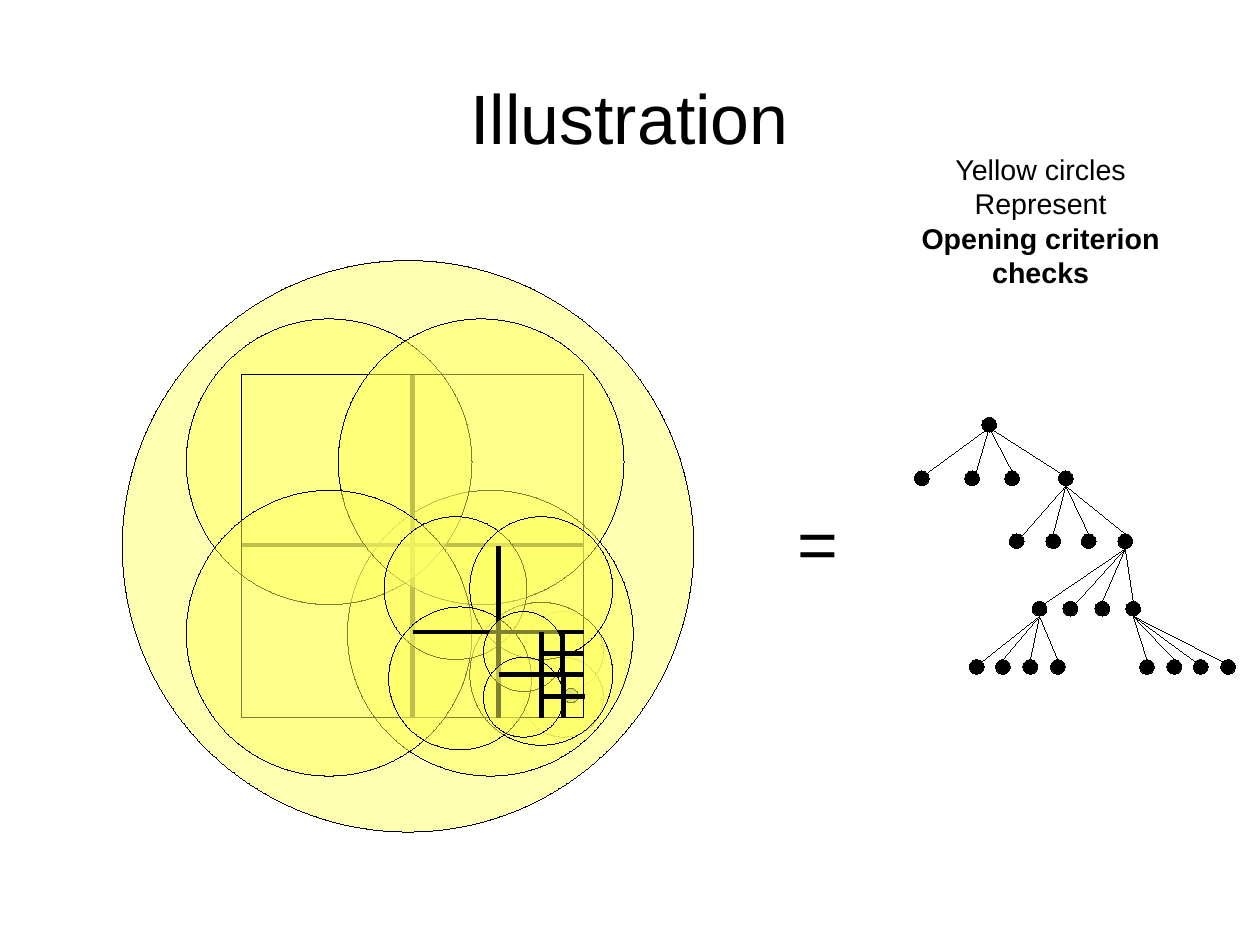
"""Build the slide showing a quadtree, its opening criterion circles and the matching tree."""
from lxml.etree import SubElement
from pptx import Presentation
from pptx.dml.color import RGBColor
from pptx.enum.shapes import MSO_CONNECTOR, MSO_SHAPE
from pptx.enum.text import MSO_ANCHOR, MSO_AUTO_SIZE, PP_ALIGN
from pptx.oxml.ns import qn
from pptx.util import Pt

BLACK = RGBColor(0x00, 0x00, 0x00)
YELLOW = RGBColor(0xFF, 0xFF, 0x66)
GREEN = RGBColor(0x7D, 0xA6, 0x47)
FONT = "Arial"
HAIRLINE, THICK = 0.01, 2.89
POINTS_PER_CM = 72 / 2.54
PAGE_WIDTH, PAGE_HEIGHT = 28 * POINTS_PER_CM, 21 * POINTS_PER_CM

TITLE = [("Illustration", False)]
NOTE = [("Yellow circles", False), ("Represent", False),
        ("Opening criterion", True), ("checks", True)]
EQUALS = [("=", False)]

QUADTREE = [
    ("check", 329.76, 385.2, 50.4),
    ("check", 329.76, 414, 50.4),
    ("check", 77.04, 164.16, 360),
    ("check", 218.88, 308.88, 180),
    ("particle", 354.96, 433.44, 9.36),
    ("cross", 259.92, 343.44, 108),
    ("check", 117.36, 200.88, 180),
    ("check", 295.92, 379.44, 90),
    ("cell", 151.92, 236.16, 216),
    ("check", 213.12, 200.88, 180),
    ("check", 117.36, 308.88, 180),
    ("check", 241.92, 325.44, 90),
    ("check", 295.92, 325.44, 90),
    ("check", 244.8, 382.32, 90),
    ("cross", 313.92, 398.16, 54),
    ("check", 304.56, 385.2, 50.4),
    ("check", 304.56, 414, 50.4),
    ("cross", 341.1, 425, 27),
    ("cross", 354.24, 411.6, 13.5),
    ("cross", 354.96, 438.6, 13.5),
]
STYLES = {
    "check": (MSO_SHAPE.OVAL, YELLOW, 50),
    "particle": (MSO_SHAPE.OVAL, GREEN, 50),
    "cell": (MSO_SHAPE.RECTANGLE, None, 100),
    "node": (MSO_SHAPE.OVAL, BLACK, 100),
}

NODE = 9.36
ROOT = (618.48, 262.8)
JOINTS = {"top": (0.5, 0), "bottom": (0.5, 1), "left": (0.15, 0.15), "right": (0.85, 0.15)}
FANS = [
    ((618.48, 259.92), 296.64,
     [(576, "right"), (607.68, "bottom"), (632.88, "top"), (666.72, "left")]),
    ((666.72, 296.64), 336.24,
     [(635.76, "right"), (658.8, "top"), (681.12, "top"), (704.16, "top")]),
    ((704.16, 336.24), 378.72,
     [(650.16, "right"), (669.6, "right"), (689.76, "top"), (709.2, "top")]),
    ((650.16, 378.72), 415.44,
     [(610.56, "right"), (627.12, "top"), (644.4, "top"), (661.68, "top")]),
    ((709.2, 378.72), 415.44,
     [(717.84, "top"), (735.12, "top"), (751.68, "left"), (768.96, "left")]),
]


def place(sp, left, top, width, height):
    sp.left, sp.top, sp.width, sp.height = Pt(left), Pt(top), Pt(width), Pt(height)


def add_figure(s, kind, left, top, size):
    preset, color, opacity = STYLES[kind]
    sp = s.shapes.add_shape(preset, Pt(left), Pt(top), Pt(size), Pt(size))
    sp.shadow.inherit = False
    sp.line.color.rgb = BLACK
    sp.line.width = Pt(HAIRLINE)
    if color is None:
        sp.fill.background()
        return
    sp.fill.solid()
    sp.fill.fore_color.rgb = color
    if opacity < 100:
        clr = sp.element.spPr.find(qn("a:solidFill")).find(qn("a:srgbClr"))
        SubElement(clr, qn("a:alpha"), val=str(opacity * 1000))


def add_line(s, x1, y1, x2, y2, width):
    c = s.shapes.add_connector(MSO_CONNECTOR.STRAIGHT, Pt(x1), Pt(y1), Pt(x2), Pt(y2))
    c.line.color.rgb = BLACK
    c.line.width = Pt(width)
    SubElement(c.element.spPr, qn("a:effectLst"))


def add_cross(s, x, y, arm):
    add_line(s, x, y - arm, x, y + arm, THICK)
    add_line(s, x - arm, y, x + arm, y, THICK)


def add_fan(s, parent, top, children):
    for left, _ in children:
        add_figure(s, "node", left, top, NODE)
    for left, joint in children:
        dx, dy = JOINTS[joint]
        add_line(s, parent[0] + NODE / 2, parent[1] + NODE,
                 left + dx * NODE, top + dy * NODE, HAIRLINE)


def write(tf, lines, size, align):
    for i, (text, bold) in enumerate(lines):
        p = tf.add_paragraph() if i else tf.paragraphs[0]
        p.alignment = align
        r = p.add_run()
        r.text = text
        r.font.name, r.font.size, r.font.bold = FONT, Pt(size), bold
        r.font.color.rgb = BLACK


def add_label(s, lines, size, align, left, top, width, height):
    sp = s.shapes.add_textbox(Pt(left), Pt(top), Pt(width), Pt(height))
    tf = sp.text_frame
    tf.word_wrap = False
    tf.auto_size = MSO_AUTO_SIZE.SHAPE_TO_FIT_TEXT
    write(tf, lines, size, align)


def main():
    prs = Presentation()
    prs.slide_width, prs.slide_height = Pt(PAGE_WIDTH), Pt(PAGE_HEIGHT)
    s = prs.slides.add_slide(prs.slide_layouts[5])

    title = s.shapes.title
    place(title, 39.6, 27.36, 714.24, 92.16)
    tf = title.text_frame
    tf.margin_left = tf.margin_right = tf.margin_top = tf.margin_bottom = 0
    tf.vertical_anchor = MSO_ANCHOR.MIDDLE
    write(tf, TITLE, 44, PP_ALIGN.CENTER)

    for kind, x, y, size in QUADTREE:
        if kind == "cross":
            add_cross(s, x, y, size)
        else:
            add_figure(s, kind, x, y, size)

    add_label(s, NOTE, 18, PP_ALIGN.CENTER, 573, 92.16, 165, 87.84)
    add_figure(s, "node", *ROOT, NODE)
    for parent, top, children in FANS:
        add_fan(s, parent, top, children)
    add_label(s, EQUALS, 44, PP_ALIGN.LEFT, 495.36, 311.04, 39.6, 56.16)

    prs.save("out.pptx")


if __name__ == "__main__":
    main()
